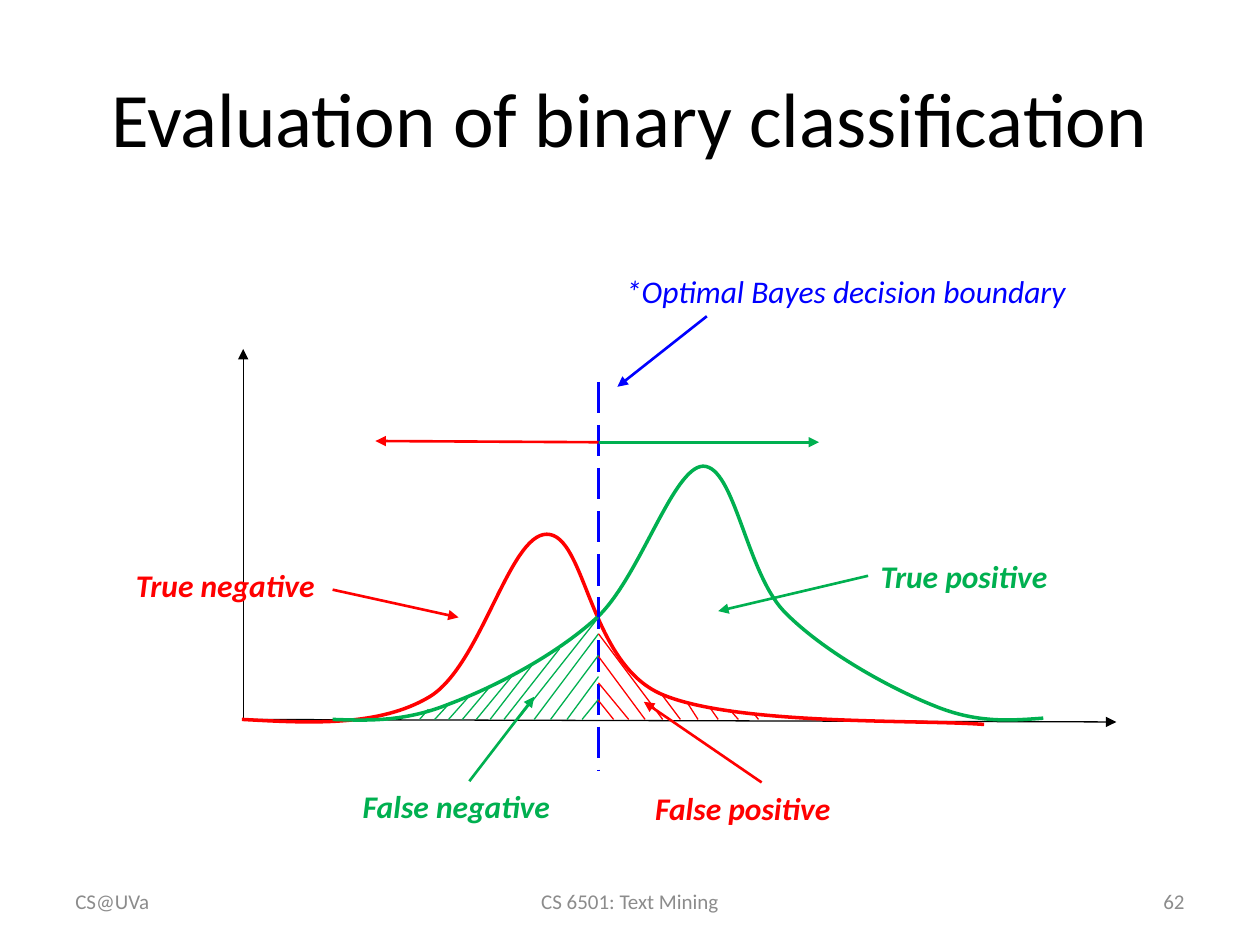
import dataclasses

import pptx
import pptx.dml.color
import pptx.enum.dml
import pptx.enum.shapes
import pptx.enum.text
import pptx.oxml.xmlchemy
import pptx.util

ALIGN = pptx.enum.text.PP_ALIGN
ANCHOR = pptx.enum.text.MSO_ANCHOR


@dataclasses.dataclass(frozen=True)
class Theme:
    font: str = "Calibri"
    ink: str = "000000"
    muted: str = "8C8C8C"
    negative: str = "FF0000"
    positive: str = "00B050"
    boundary: str = "0000FF"
    title: int = 44
    label: int = 18
    footer: int = 12
    hairline: float = 0.75
    arrow: float = 1.5
    curve: float = 2
    divider: float = 2.25


THEME = Theme()

RED_CURVE = [
    (-0.01, 0), (0.53, -0.03), (1.08, -0.06), (1.48, 0.18),
    (1.89, 0.43), (2.11, 1.47), (2.41, 1.47),
    (2.72, 1.47), (2.74, 0.45), (3.32, 0.2),
    (3.9, -0.05), (5.37, 0), (5.88, -0.04),
]
GREEN_CURVE = [
    (0.71, 0), (0.99, -0.01), (1.28, -0.02), (1.63, 0.12),
    (1.98, 0.25), (2.47, 0.5), (2.81, 0.81),
    (3.15, 1.13), (3.41, 2), (3.65, 2.01),
    (3.9, 2.01), (3.99, 1.18), (4.29, 0.86),
    (4.6, 0.54), (5.13, 0.25), (5.48, 0.11),
    (5.82, -0.03), (6.08, -0.01), (6.35, 0.01),
]
CUT = 2.82
FALSE_NEGATIVE_HATCH = [
    (1.47, 0.08, 1.4), (1.63, 0.12, 1.52), (1.79, 0.18, 1.63),
    (1.95, 0.25, 1.74), (2.13, 0.34, 1.85), (2.3, 0.44, 1.96),
    (2.51, 0.56, 2.07), (CUT, 0.81, 2.18), (CUT, 0.68, 2.31),
    (CUT, 0.51, 2.44), (CUT, 0.34, 2.57), (CUT, 0.16, 2.69),
]
FALSE_POSITIVE_HATCH = [
    (CUT, 0.15, 2.94), (CUT, 0.29, 3.06), (CUT, 0.5, 3.19),
    (CUT, 0.68, 3.33), (3.32, 0.2, 3.47), (3.52, 0.14, 3.61),
    (3.7, 0.1, 3.77), (3.86, 0.08, 3.93), (4.05, 0.05, 4.09),
]


def length(inches):
    return pptx.util.Cm(2.54 * inches)


def rgb(color):
    return pptx.dml.color.RGBColor.from_string(color)


def element(tag):
    return pptx.oxml.xmlchemy.OxmlElement(tag)


def add_text(shapes, box, text, size, color, align=ALIGN.LEFT,
             anchor=ANCHOR.MIDDLE, bold=False, italic=False):
    sp = shapes.add_textbox(*map(length, box))
    tf = sp.text_frame
    tf.text = text
    tf.word_wrap = True
    tf.vertical_anchor = anchor
    p = tf.paragraphs[0]
    p.alignment = align
    font = p.runs[0].font
    font.name, font.size = THEME.font, pptx.util.Pt(size)
    font.bold, font.italic = bold, italic
    font.color.rgb = rgb(color)
    return sp


class Plot:
    def __init__(self, shapes, box):
        self.shapes = shapes
        self.left, top, self.width, self.height = box
        self.base = top + self.height

    def point(self, x, y):
        return length(self.left + x), length(self.base - y)

    def line(self, start, end, color, width, arrow=False, dash=None):
        cx = self.shapes.add_connector(
            pptx.enum.shapes.MSO_CONNECTOR.STRAIGHT, *self.point(*start), *self.point(*end))
        cx.line.color.rgb = rgb(color)
        cx.line.width = pptx.util.Pt(width)
        if dash:
            cx.line.dash_style = dash
        pr = cx._element.spPr
        if arrow:
            tail = element("a:tailEnd")
            tail.set("type", "triangle")
            pr.ln.append(tail)
        pr.append(element("a:effectLst"))
        return cx

    def curve(self, points, color):
        start, *rest = [self.point(*pt) for pt in points]
        builder = self.shapes.build_freeform(*start)
        builder.add_line_segments(rest, close=False)
        sp = builder.convert_to_shape()
        sp.shadow.inherit = False
        sp.fill.background()
        sp.line.color.rgb = rgb(color)
        sp.line.width = pptx.util.Pt(THEME.curve)
        segments = sp._element.xpath(".//a:lnTo")
        for i in range(0, len(segments), 3):
            bezier = element("a:cubicBezTo")
            segments[i].addprevious(bezier)
            for segment in segments[i:i + 3]:
                bezier.append(segment[0])
                segment.getparent().remove(segment)

    def hatch(self, strokes, color):
        for x, y, foot in strokes:
            self.line((x, y), (foot, 0), color, THEME.hairline)

    def callout(self, text, at, start, end, color, width=1.89, bold=True, site=None):
        x, y = at
        sp = add_text(self.shapes, (self.left + x, self.base - y, width, 0.4), text,
                      THEME.label, color, anchor=ANCHOR.TOP, bold=bold, italic=True)
        cx = self.line(start, end, color, THEME.arrow, arrow=True)
        if site is not None:
            cx.begin_connect(sp, site)


def add_title(s, box):
    add_text(s.shapes, box, "Evaluation of binary classification",
             THEME.title, THEME.ink, ALIGN.CENTER)


def add_footer(s, box):
    left, top, width, height = box
    for x, w, text, align in [
        (0, 2.33, "CS@UVa", ALIGN.LEFT),
        ((width - 3.17) / 2, 3.17, "CS 6501: Text Mining", ALIGN.CENTER),
        (width - 2.33, 2.33, "62", ALIGN.RIGHT),
    ]:
        add_text(s.shapes, (left + x, top, w, height), text, THEME.footer, THEME.muted, align)


def add_plot(s, box):
    plot = Plot(s.shapes.add_group_shape().shapes, box)
    red, green, blue = THEME.negative, THEME.positive, THEME.boundary
    for end in [(plot.width, -0.02), (0, plot.height)]:
        plot.line((0, 0), end, THEME.ink, THEME.hairline, arrow=True)
    plot.curve(RED_CURVE, red)
    plot.curve(GREEN_CURVE, green)
    plot.line((CUT, 2.68), (CUT, -0.41), blue, THEME.divider,
              dash=pptx.enum.dml.MSO_LINE.LONG_DASH)
    plot.hatch(FALSE_NEGATIVE_HATCH, green)
    plot.hatch(FALSE_POSITIVE_HATCH, red)
    for end, color in [((1.05, 2.21), red), ((4.57, 2.2), green)]:
        plot.line((CUT, 2.2), end, color, THEME.arrow, arrow=True)

    plot.callout("False positive", (3.17, -0.5), (4.11, -0.5), (3.18, 0.14), red, site=0)
    plot.callout("False negative", (0.85, -0.49), (1.8, -0.49), (2.31, 0.18), green, site=0)
    plot.callout("*Optimal Bayes decision boundary", (2.94, 3.6), (3.68, 3.2), (2.97, 2.64),
                 blue, width=4, bold=False)
    plot.callout("True positive", (4.96, 1.34), (4.96, 1.14), (3.77, 0.86), green, site=1)
    plot.callout("True negative", (-0.95, 1.27), (0.71, 1.03), (1.71, 0.81), red)


def main():
    prs = pptx.Presentation()
    prs.slide_width, prs.slide_height = length(10), length(7.5)
    s = prs.slides.add_slide(prs.slide_layouts[6])
    add_title(s, (0.5, 0.3, 9, 1.25))
    add_footer(s, (0.5, 6.95, 9, 0.4))
    add_plot(s, (1.93, 2.77, 6.93, 2.94))
    prs.save("out.pptx")


if __name__ == "__main__":
    main()
